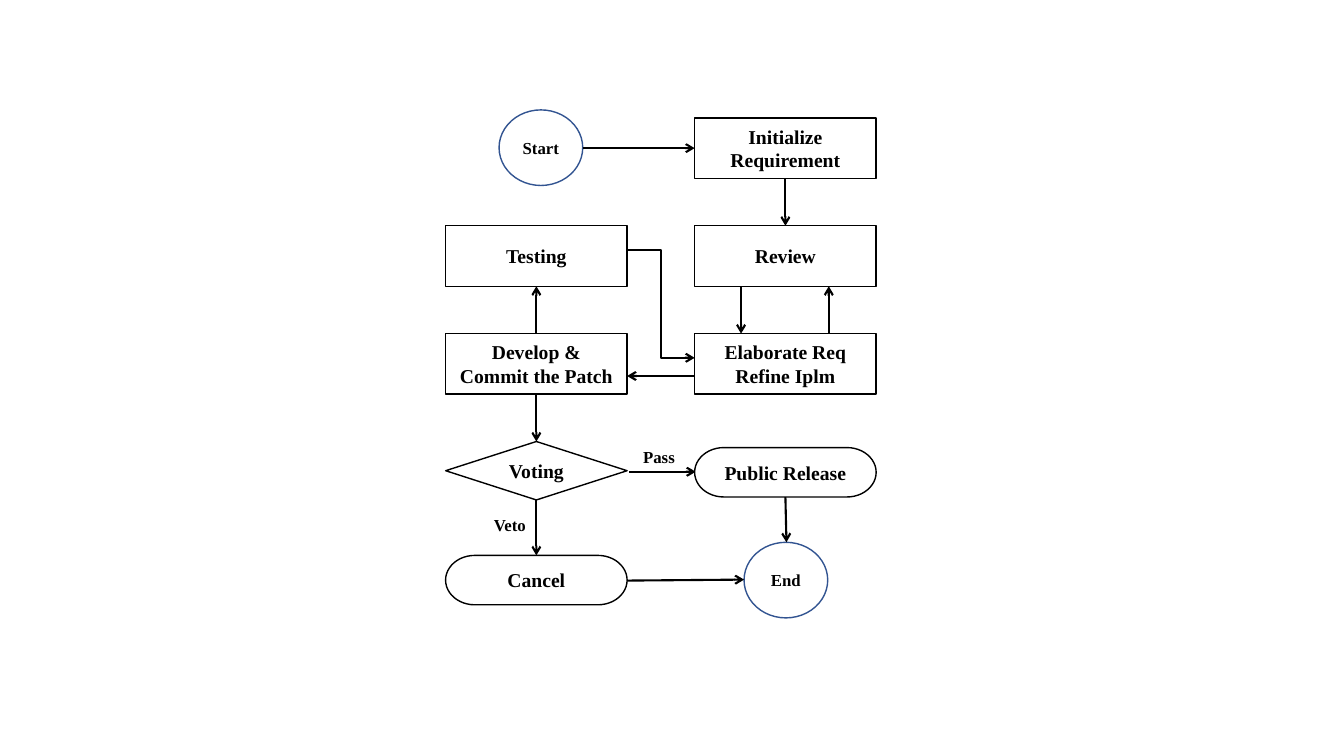
from lxml import etree
from pptx import Presentation
from pptx.dml.color import RGBColor
from pptx.enum.shapes import MSO_CONNECTOR, MSO_SHAPE
from pptx.enum.text import MSO_ANCHOR, MSO_AUTO_SIZE, PP_ALIGN
from pptx.oxml.ns import qn
from pptx.util import Inches, Pt

COLORS = {"ink": "000000", "paper": "FFFFFF", "blue": "325491"}
FONT = "Times New Roman"
RECTANGLE = MSO_SHAPE.RECTANGLE
CIRCLE = MSO_SHAPE.OVAL
DIAMOND = MSO_SHAPE.DIAMOND
TERMINATOR = MSO_SHAPE.FLOWCHART_TERMINATOR
STRAIGHT = MSO_CONNECTOR.STRAIGHT
ELBOW = MSO_CONNECTOR.ELBOW
MIDDLE = MSO_ANCHOR.MIDDLE
FIT_SHAPE = MSO_AUTO_SIZE.SHAPE_TO_FIT_TEXT
LEFT = PP_ALIGN.LEFT
CENTER = PP_ALIGN.CENTER

# Column edges and centers, and the tops of the three box rows
LEFT_COLUMN, RIGHT_COLUMN, BOX_WIDTH, BOX_HEIGHT = 4.42, 6.89, 1.8, 0.6
LEFT_EDGE = LEFT_COLUMN + BOX_WIDTH
LEFT_CENTER = LEFT_COLUMN + BOX_WIDTH / 2
RIGHT_CENTER = RIGHT_COLUMN + BOX_WIDTH / 2
ROWS = [1.17 + 1.07 * row for row in range(3)]
BOTTOMS = [top + BOX_HEIGHT for top in ROWS]


def rgb(name):
    return RGBColor.from_string(COLORS[name])


def write_text(frame, text, size=14, align=CENTER):
    """Fill a text frame, one paragraph per line of text."""
    frame.text = text
    for paragraph in frame.paragraphs:
        paragraph.alignment = align
        font = paragraph.runs[0].font
        font.name, font.size, font.bold = FONT, Pt(size), True
        font.color.rgb = rgb("ink")


class Flowchart:
    """Draws flowchart elements on one slide; all lengths are inches."""

    def __init__(self, slide):
        self.shapes = slide.shapes

    def node(self, kind, text, left, top, width=BOX_WIDTH, height=BOX_HEIGHT, line="ink", size=14):
        shape = self.shapes.add_shape(kind, Inches(left), Inches(top), Inches(width), Inches(height))
        shape.shadow.inherit = False
        shape.fill.solid()
        shape.fill.fore_color.rgb = rgb("paper")
        shape.line.color.rgb = rgb(line)
        shape.line.width = Pt(1)
        shape.text_frame.word_wrap = True
        shape.text_frame.vertical_anchor = MIDDLE
        write_text(shape.text_frame, text, size=size)

    def circle(self, text, left, top):
        self.node(CIRCLE, text, left, top, width=0.83, height=0.75, line="blue", size=12)

    def label(self, text, left, top):
        frame = self.shapes.add_textbox(Inches(left), Inches(top), Inches(0.52), Inches(0.3)).text_frame
        frame.word_wrap = False
        frame.auto_size = FIT_SHAPE
        write_text(frame, text, size=12, align=LEFT)

    def arrow(self, start, end, kind=STRAIGHT):
        points = [Inches(value) for value in (*start, *end)]
        connector = self.shapes.add_connector(kind, *points)
        connector.line.color.rgb = rgb("ink")
        connector.line.width = Pt(1.5)
        properties = connector._element.spPr
        etree.SubElement(properties.find(qn("a:ln")), qn("a:tailEnd"), type="arrow")
        etree.SubElement(properties, qn("a:effectLst"))


def main():
    presentation = Presentation()
    presentation.slide_width = Inches(13.33)
    presentation.slide_height = Inches(7.5)
    chart = Flowchart(presentation.slides.add_slide(presentation.slide_layouts[6]))

    for text, left, row in [
        ("Initialize Requirement", RIGHT_COLUMN, 0),
        ("Review", RIGHT_COLUMN, 1),
        ("Elaborate Req\nRefine Iplm", RIGHT_COLUMN, 2),
        ("Testing", LEFT_COLUMN, 1),
        ("Develop & Commit the Patch", LEFT_COLUMN, 2),
    ]:
        chart.node(RECTANGLE, text, left, ROWS[row])
    chart.circle("Start", 4.95, 1.09)
    chart.circle("End", 7.38, 5.38)
    chart.label("Pass", 6.28, 4.38)
    chart.label("Veto", 4.8, 5.06)

    for start, end in [
        ((5.78, 1.47), (RIGHT_COLUMN, 1.47)),
        ((RIGHT_CENTER, BOTTOMS[0]), (RIGHT_CENTER, ROWS[1])),
        ((7.35, BOTTOMS[1]), (7.35, ROWS[2])),
        ((8.22, ROWS[2]), (8.22, BOTTOMS[1])),
        ((RIGHT_COLUMN, 3.73), (LEFT_EDGE, 3.73)),
        ((LEFT_CENTER, ROWS[2]), (LEFT_CENTER, BOTTOMS[1])),
        ((LEFT_CENTER, BOTTOMS[2]), (LEFT_CENTER, 4.38)),
        ((6.24, 4.68), (6.9, 4.68)),
        ((LEFT_CENTER, 4.96), (LEFT_CENTER, 5.51)),
        ((LEFT_EDGE, 5.76), (7.38, 5.75)),
        ((RIGHT_CENTER, 4.93), (7.8, 5.38)),
    ]:
        chart.arrow(start, end)
    chart.arrow((LEFT_EDGE, 2.48), (RIGHT_COLUMN, 3.55), kind=ELBOW)

    chart.node(DIAMOND, "Voting", LEFT_COLUMN, 4.38, height=0.58)
    chart.node(TERMINATOR, "Public Release", RIGHT_COLUMN, 4.44, height=0.49)
    chart.node(TERMINATOR, "Cancel", LEFT_COLUMN, 5.51, height=0.49)

    presentation.save("out.pptx")


if __name__ == "__main__":
    main()
